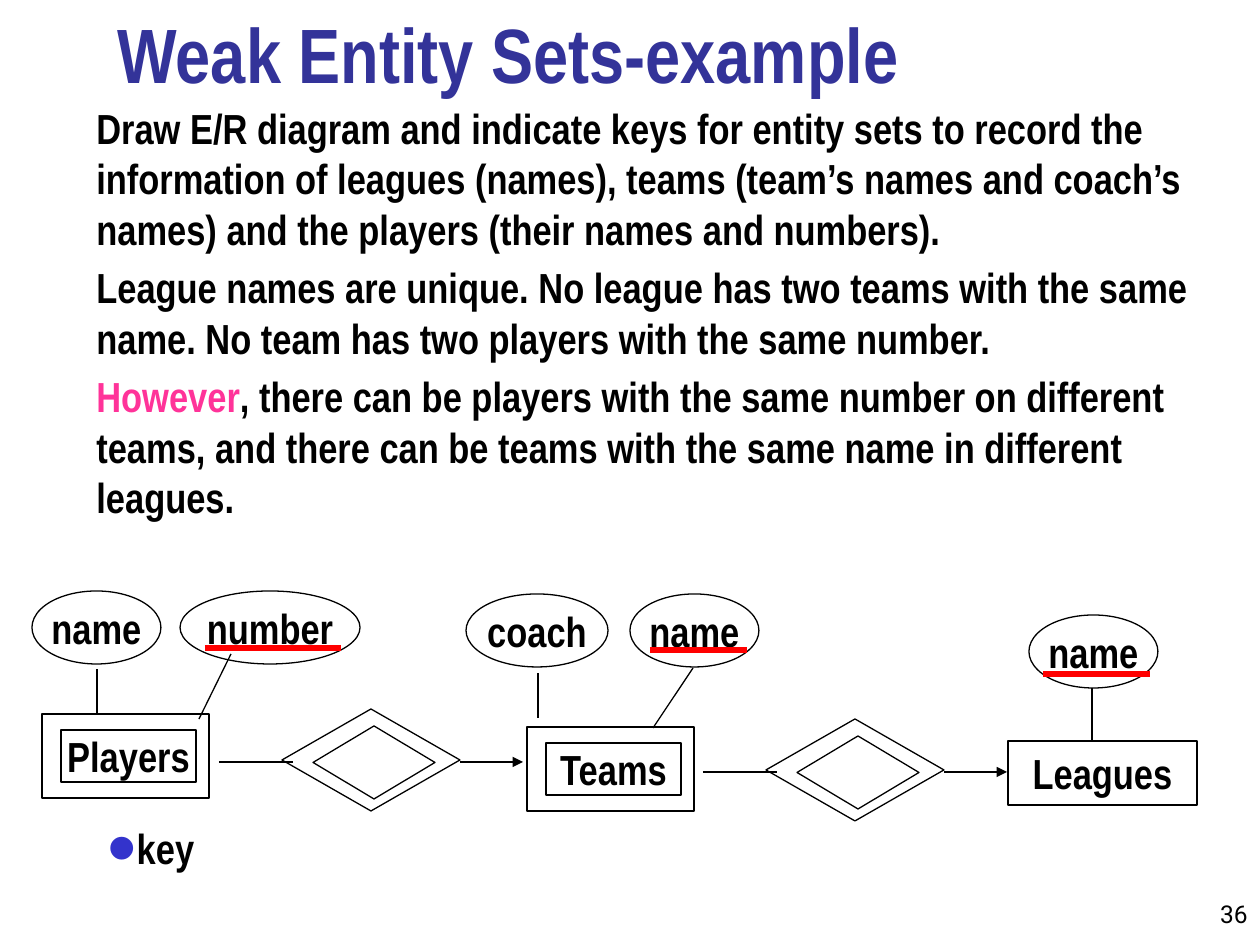
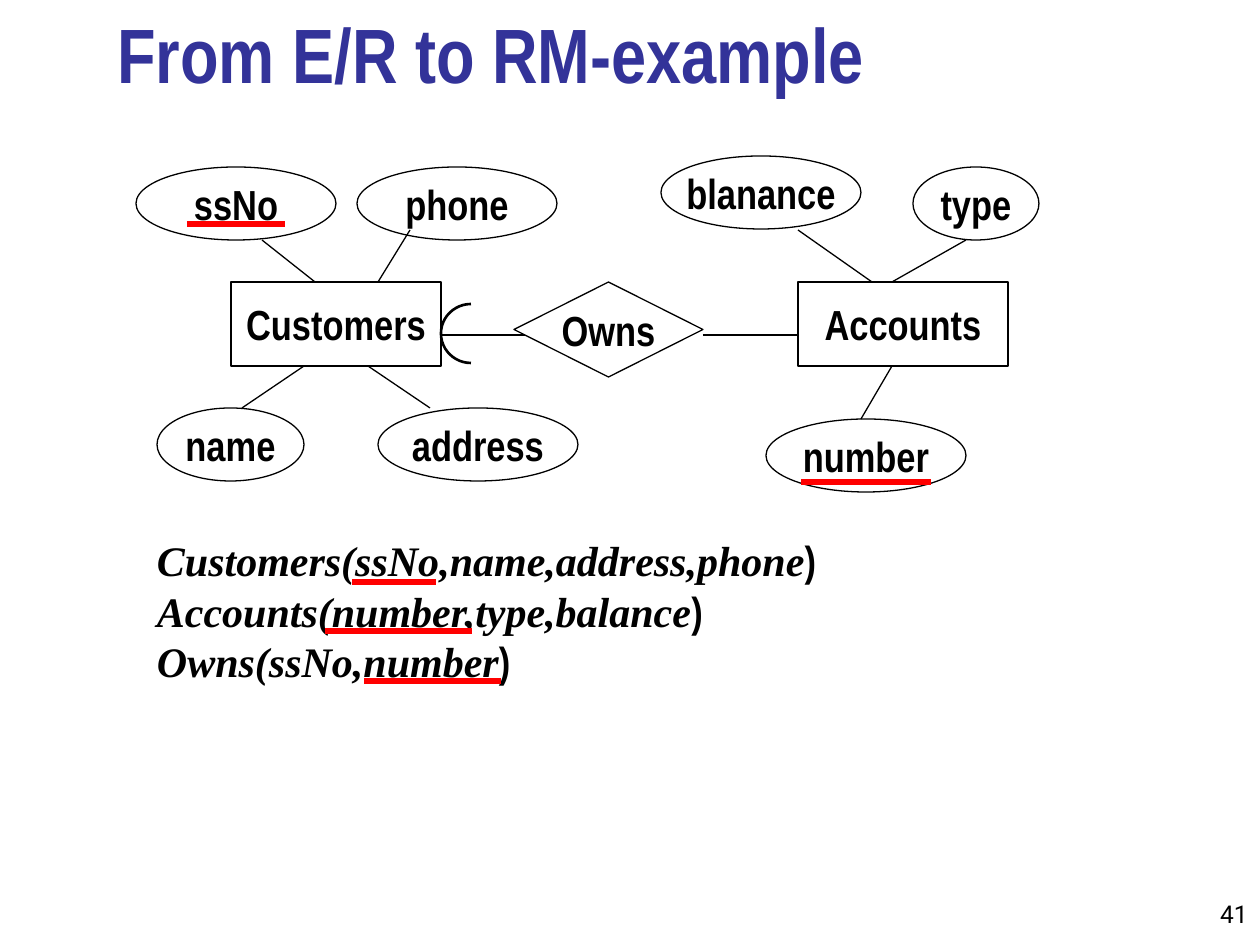
from dataclasses import dataclass

from lxml.etree import SubElement
from pptx import Presentation
from pptx.dml.color import RGBColor as RGB
from pptx.enum.shapes import MSO_CONNECTOR, MSO_SHAPE as SHAPE
from pptx.enum.text import MSO_ANCHOR as ANCHOR, PP_ALIGN as ALIGN
from pptx.oxml.ns import qn
from pptx.util import Pt

PX_PER_INCH = 126


def px(n):
    return round(n * 914400 / PX_PER_INCH)


@dataclass(frozen=True)
class Theme:
    ink: str = "000000"
    title: str = "333399"
    accent: str = "FF3399"
    bullet: str = "3333CC"
    key: str = "FF0000"
    font: str = "Arial Narrow"
    schema_font: str = "Times New Roman"
    number_font: str = "Roboto"
    title_size: int = 44
    body_size: int = 24
    number_size: int = 14
    thin: float = 0.75
    medium: float = 1.5
    thick: float = 3


THEME = Theme()


def write(sp, paras, *, size=THEME.body_size, color=THEME.ink, font=THEME.font,
          bold=True, align=ALIGN.LEFT, anchor=ANCHOR.TOP, inset=None,
          before=0, wrap=True, bullet=None):
    """Fill a shape; each paragraph is a string or a list of (text, overrides)."""
    tf = sp.text_frame
    tf.word_wrap = wrap
    tf.vertical_anchor = anchor
    if inset is not None:
        tf.margin_left = tf.margin_right = px(inset)
        tf.margin_top = tf.margin_bottom = px(inset)
    for i, para in enumerate(paras):
        p = tf.add_paragraph() if i else tf.paragraphs[0]
        if bullet:
            add_bullet(p, bullet)
        p.alignment = align
        if i and before:
            p.space_before = Pt(before)
        runs = [(para, {})] if isinstance(para, str) else para
        for text, override in runs:
            r = p.add_run()
            r.text = text
            f = r.font
            f.size = Pt(size)
            f.bold = bold
            f.italic = override.get("italic", False)
            f.name = override.get("font", font)
            f.color.rgb = RGB.from_string(override.get("color", color))


def add_bullet(p, color):
    pPr = p._p.get_or_add_pPr()
    clr = SubElement(pPr, qn("a:buClr"))
    SubElement(clr, qn("a:srgbClr"), val=color)
    SubElement(pPr, qn("a:buSzPct"), val="200000")
    SubElement(pPr, qn("a:buFont"), typeface="Arial")
    SubElement(pPr, qn("a:buChar"), char="•")


class Deck:
    def __init__(self, theme):
        self.theme = theme
        self.prs = Presentation()
        self.prs.slide_width, self.prs.slide_height = px(1260), px(945)
        self.s = None

    def slide(self, title, number):
        t = self.theme
        self.s = self.prs.slides.add_slide(self.prs.slide_layouts[6])
        self.text(1176, 872, 84, 63, [number], size=t.number_size, bold=False,
                  font=t.number_font, align=ALIGN.RIGHT, anchor=ANCHOR.BOTTOM)
        self.text(105, 10, 1074, 95, [title], size=t.title_size,
                  color=t.title, anchor=ANCHOR.BOTTOM)

    def text(self, x, y, w, h, paras, **fmt):
        sp = self.s.shapes.add_textbox(px(x), px(y), px(w), px(h))
        write(sp, paras, **fmt)

    def shape(self, kind, x, y, w, h, label=None, width=None):
        sp = self.s.shapes.add_shape(kind, px(x), px(y), px(w), px(h))
        sp.shadow.inherit = False
        sp.fill.background()
        sp.line.color.rgb = RGB.from_string(self.theme.ink)
        sp.line.width = Pt(width or self.theme.thin)
        if label:
            write(sp, [label], align=ALIGN.CENTER, anchor=ANCHOR.MIDDLE,
                  inset=0, wrap=False)
        return sp

    def entity(self, x, y, w, h, label=None):
        self.shape(SHAPE.RECTANGLE, x, y, w, h, label)

    def attribute(self, x, y, w, label):
        self.shape(SHAPE.OVAL, x, y, w, 73, label)

    def line(self, x1, y1, x2, y2, color=None, width=None, arrow=False):
        sp = self.s.shapes.add_connector(MSO_CONNECTOR.STRAIGHT,
                                         px(x1), px(y1), px(x2), px(y2))
        sp.line.color.rgb = RGB.from_string(color or self.theme.ink)
        sp.line.width = Pt(width or self.theme.thin)
        if arrow:
            SubElement(sp.line._get_or_add_ln(), qn("a:tailEnd"),
                       type="triangle", w="med", len="med")
        SubElement(sp._element.spPr, qn("a:effectLst"))

    def key_line(self, x1, x2, y):
        self.line(x1, y, x2, y, self.theme.key, self.theme.thick)

    def weak_entity(self, x, y, label):
        self.entity(x, y, 167, 84)
        self.entity(x + 19, y + 16, 135, 52, label)

    def weak_relation(self, x, y):
        """Double diamond with a line in from the left and an arrow out."""
        self.shape(SHAPE.DIAMOND, x, y, 178, 102)
        self.shape(SHAPE.DIAMOND, x + 31, y + 17, 122, 73)
        self.line(x - 63, y + 53, x + 11, y + 53)
        self.line(x + 178, y + 53, x + 241, y + 53, arrow=True)

    def one_side_arc(self, x, y, w, h):
        """Left half of an ellipse, marking the 'exactly one' end."""
        sp = self.shape(SHAPE.ARC, x, y, w, h, width=self.theme.medium)
        sp.adjustments[0], sp.adjustments[1] = 54, 162  # 90 and 270 degrees


def weak_entity_slide(d):
    t = d.theme
    d.slide("Weak Entity Sets-example", "36")
    d.text(84, 96, 1155, 435, [
        "Draw E/R diagram and indicate keys for entity sets to record the "
        "information of leagues (names), teams (team’s names and coach’s "
        "names) and the players (their names and numbers).",
        "League names are unique. No league has two teams with the same "
        "name. No team has two players with the same number.",
        [("However", {"color": t.accent}),
         (", there can be players with the same number on different teams, "
          "and there can be teams with the same name in different leagues.",
          {})],
    ], before=4.8)

    d.weak_entity(42, 714, "Players")
    d.weak_entity(527, 727, "Teams")
    d.entity(1008, 741, 189, 64, "Leagues")
    d.weak_relation(282, 709)
    d.weak_relation(766, 719)

    for x, y, w, label in [(32, 591, 129, "name"), (180, 591, 180, "number"),
                           (466, 594, 142, "coach"), (630, 594, 129, "name"),
                           (1029, 615, 129, "name")]:
        d.attribute(x, y, w, label)
    for ends in [(97, 714, 97, 669), (231, 654, 199, 719),
                 (538, 718, 538, 673), (653, 728, 693, 668),
                 (1092, 688, 1092, 741)]:
        d.line(*ends)
    for x1, x2, y in [(205, 341, 648), (650, 747, 650), (1043, 1150, 674)]:
        d.key_line(x1, x2, y)

    d.text(95, 816, 189, 63, ["key"], bullet=t.bullet)


def relational_model_slide(d):
    t = d.theme
    d.slide("From E/R to RM-example", "41")
    schema = {"font": t.schema_font, "italic": True}
    d.text(157, 535, 882, 151, [
        [(relation, schema), (")", {})]
        for relation in ("Customers(ssNo,name,address,phone",
                         "Accounts(number,type,balance",
                         "Owns(ssNo,number")
    ], inset=0)

    d.entity(231, 282, 210, 84, "Customers")
    d.entity(798, 282, 210, 84, "Accounts")
    d.shape(SHAPE.DIAMOND, 514, 282, 189, 95, "Owns")
    d.one_side_arc(441, 304, 60, 59)

    for x, y, w, label in [(136, 167, 200, "ssNo"), (357, 167, 200, "phone"),
                           (157, 408, 147, "name"), (378, 408, 200, "address"),
                           (661, 156, 200, "blanance"), (913, 167, 126, "type"),
                           (766, 419, 200, "number")]:
        d.attribute(x, y, w, label)
    for ends in [(525, 335, 441, 335), (703, 335, 798, 335),
                 (315, 282, 262, 240), (378, 282, 410, 230),
                 (304, 366, 242, 408), (368, 366, 430, 408),
                 (798, 230, 872, 282), (966, 240, 892, 282),
                 (892, 366, 861, 419)]:
        d.line(*ends)
    for x1, x2, y in [(187, 285, 224), (801, 931, 482), (352, 436, 582),
                      (325, 472, 631), (364, 501, 681)]:
        d.key_line(x1, x2, y)


def main():
    d = Deck(THEME)
    weak_entity_slide(d)
    relational_model_slide(d)
    d.prs.save("out.pptx")


if __name__ == "__main__":
    main()
